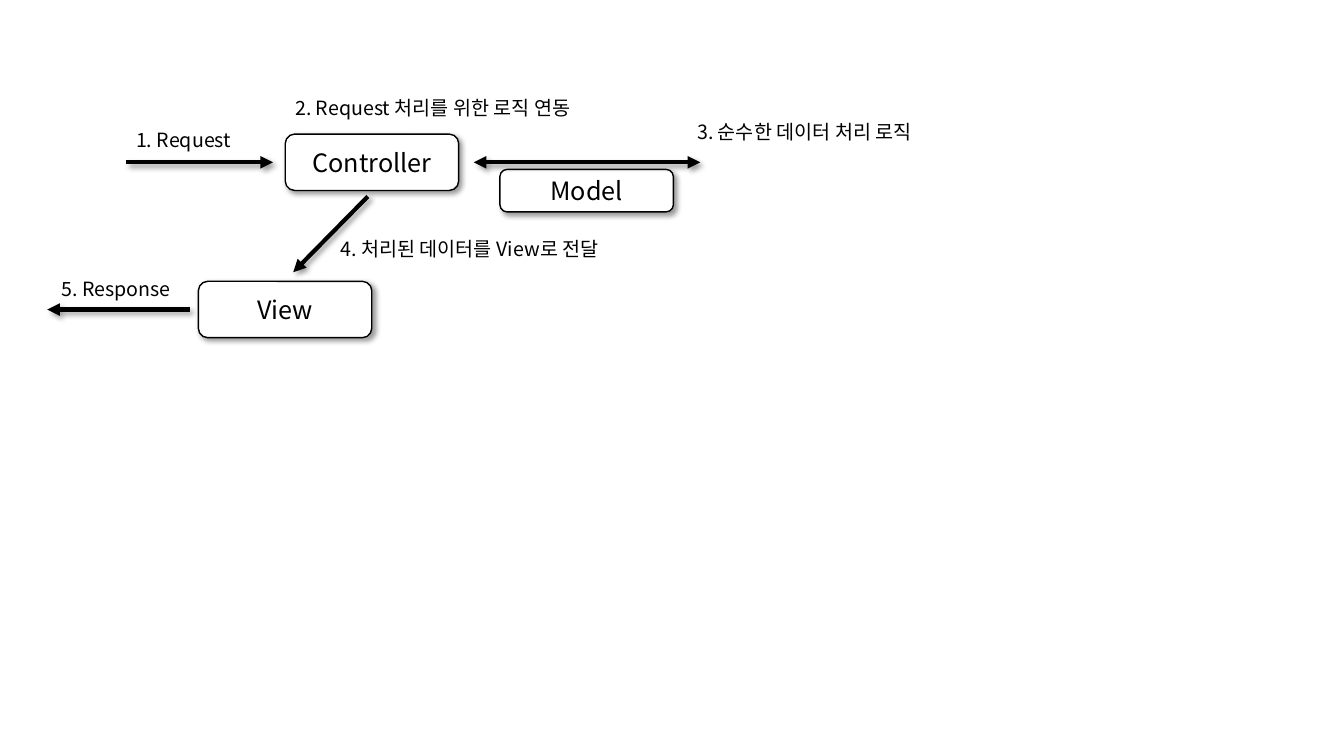
import lxml.etree
import pptx
import pptx.dml.color
import pptx.enum.shapes
import pptx.enum.text
import pptx.oxml.ns
import pptx.util

Cm, Pt = pptx.util.Cm, pptx.util.Pt
qn = pptx.oxml.ns.qn

FONT = "Noto Sans CJK KR"
COLORS = {"ink": "000000", "box": "FFFFFF"}
BOX_WIDTH = 4.37
STEP_HEIGHT = 0.86

components = [
    ("Controller", 7.19, 3.38, 1.42),
    ("View", 5.0, 7.09, 1.42),
    ("Model", 12.6, 4.27, 1.07),
]
flows = [
    ((3.18, 4.09), (6.88, 4.09), ["tailEnd"]),
    ((11.94, 4.09), (17.65, 4.09), ["headEnd", "tailEnd"]),
    ((9.27, 4.95), (7.39, 6.86), ["tailEnd"]),
    ((4.78, 7.8), (1.19, 7.8), ["tailEnd"]),
]
steps = [
    ("1. Request", 3.18, 3.1, 3.2),
    ("2. Request 처리를 위한 로직 연동", 7.19, 2.29, 8.08),
    ("3. 순수한 데이터 처리 로직", 17.32, 2.9, 6.32),
    ("4. 처리된 데이터를 View로 전달", 8.33, 5.84, 7.49),
    ("5. Response", 1.3, 6.86, 3.56),
]


def color(key):
    return pptx.dml.color.RGBColor.from_string(COLORS[key])


def add_shadow(part):
    effects = lxml.etree.SubElement(part._element.spPr, qn("a:effectLst"))
    shadow = lxml.etree.SubElement(
        effects, qn("a:outerShdw"), blurRad=str(Pt(4)), dist=str(Pt(3)),
        dir=str(45 * 60000), algn="tl", rotWithShape="0")
    tint = lxml.etree.SubElement(shadow, qn("a:srgbClr"), val=COLORS["ink"])
    lxml.etree.SubElement(tint, qn("a:alpha"), val="40000")


def set_line(part, width):
    part.line.color.rgb = color("ink")
    part.line.width = Pt(width)


def write(frame, text, size):
    frame.text = text
    run = frame.paragraphs[0].runs[0]
    run.font.size = Pt(size)
    run.font.name = FONT
    run.font.color.rgb = color("ink")
    lxml.etree.SubElement(run.font._element, qn("a:ea"), typeface=FONT)


deck = pptx.Presentation()
deck.slide_width, deck.slide_height = Cm(33.87), Cm(19.05)
slide = deck.slides.add_slide(deck.slide_layouts[6])

for name, left, top, height in components:
    component = slide.shapes.add_shape(
        pptx.enum.shapes.MSO_SHAPE.ROUNDED_RECTANGLE,
        Cm(left), Cm(top), Cm(BOX_WIDTH), Cm(height))
    component.fill.solid()
    component.fill.fore_color.rgb = color("box")
    set_line(component, 1)
    add_shadow(component)
    write(component.text_frame, name, 18)
    component.text_frame.vertical_anchor = pptx.enum.text.MSO_ANCHOR.MIDDLE
    component.text_frame.paragraphs[0].alignment = pptx.enum.text.PP_ALIGN.CENTER

for start, end, heads in flows:
    flow = slide.shapes.add_connector(
        pptx.enum.shapes.MSO_CONNECTOR.STRAIGHT, *map(Cm, start + end))
    set_line(flow, 3)
    for head in heads:
        lxml.etree.SubElement(flow.line._ln, qn("a:" + head), type="triangle")
    add_shadow(flow)

for text, left, top, width in steps:
    step = slide.shapes.add_textbox(Cm(left), Cm(top), Cm(width), Cm(STEP_HEIGHT))
    write(step.text_frame, text, 14)
    step.text_frame.word_wrap = False
    step.text_frame.auto_size = pptx.enum.text.MSO_AUTO_SIZE.SHAPE_TO_FIT_TEXT

deck.save("out.pptx")
